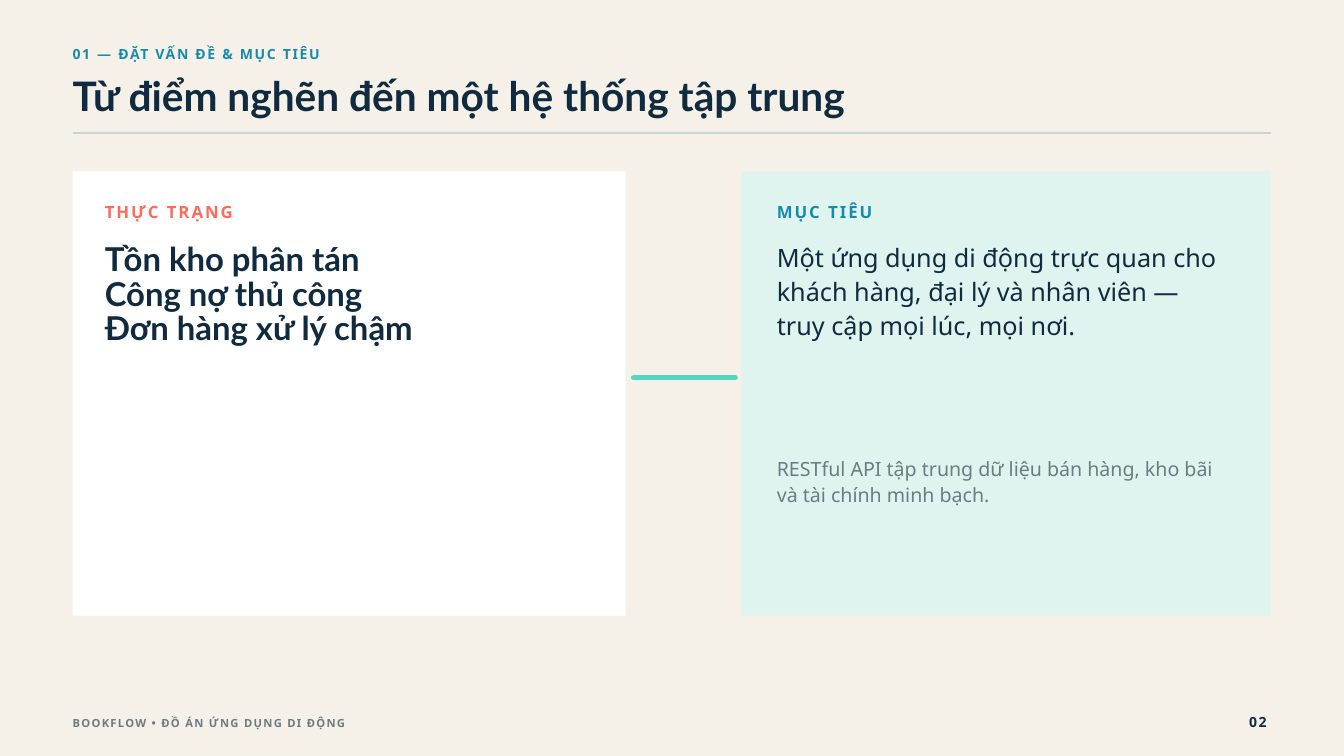
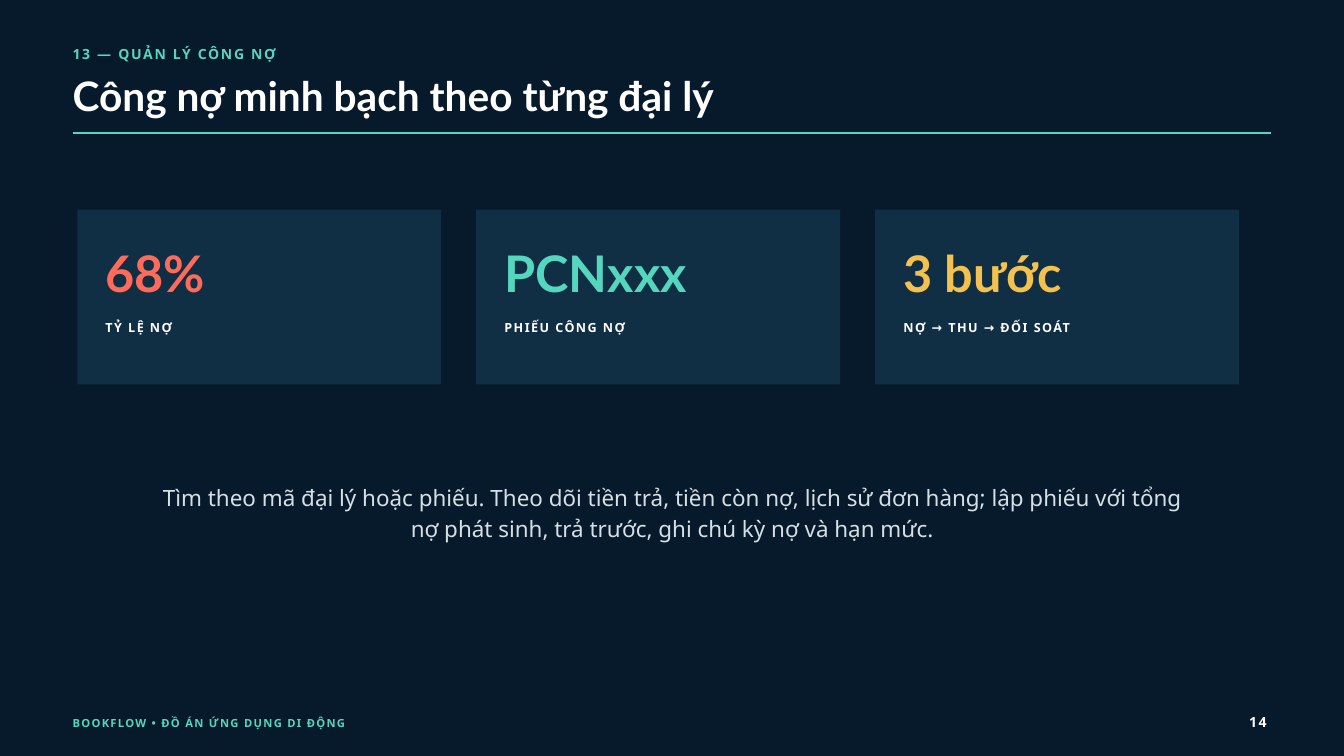
"""Build two slides of a mobile application project talk."""
from dataclasses import dataclass

import lxml.etree
import pptx
import pptx.dml.color
import pptx.enum.shapes
import pptx.enum.text
import pptx.oxml.ns
import pptx.util

Inches = pptx.util.Inches
Align = pptx.enum.text.PP_ALIGN


@dataclass(frozen=True)
class Theme:
    """Colours, fonts and type sizes of the presentation."""
    heading_font: str = "Lato"
    body_font: str = "Noto Sans"
    cream: str = "F5F1E8"
    night: str = "071A2B"
    navy: str = "102B3F"
    card: str = "102F45"
    white: str = "FFFFFF"
    mint: str = "DFF4EE"
    teal: str = "55D6BE"
    blue: str = "168AAD"
    coral: str = "FF6B5B"
    gold: str = "F2C14E"
    grey: str = "6D7B82"
    mist: str = "D4E0E5"
    rule: str = "CBD4D0"
    figure_size: float = 54
    title_size: float = 43.5
    statement_size: float = 35.2
    goal_size: float = 27
    summary_size: float = 24
    note_size: float = 21
    label_size: float = 18
    kicker_size: float = 15
    caption_size: float = 13.5
    footer_size: float = 12


THEME = Theme()


@dataclass(frozen=True)
class Mode:
    """Colours of the frame on a light or dark slide."""
    background: str
    kicker: str
    title: str
    rule: str
    footer: str


LIGHT = Mode(THEME.cream, THEME.blue, THEME.navy, THEME.rule, THEME.grey)
DARK = Mode(THEME.night, THEME.teal, THEME.white, THEME.teal, THEME.teal)


@dataclass(frozen=True)
class Box:
    """A region measured in inches."""
    left: float
    top: float
    width: float
    height: float

    def inside(self, left, top, width, height):
        """Return a box placed from this box's top left corner."""
        return Box(self.left + left, self.top + top, width, height)

    def lengths(self):
        """Return left, top, width and height as lengths."""
        return [Inches(value) for value in (self.left, self.top, self.width, self.height)]


PAGE = Box(0, 0, 20, 11.25)
HEADER = Box(1.08, 0.64, 17.84, 1.34)
FOOTER = Box(1.08, 10.58, 17.84, 0.27)


def color(value):
    """Return an RGB colour."""
    return pptx.dml.color.RGBColor.from_string(value)


def add_text(slide, box, text, *, size, ink, leading, font=THEME.body_font,
             bold=False, tracking=0, align=Align.LEFT):
    """Add a text box with one paragraph for each line of text."""
    shape = slide.shapes.add_textbox(*box.lengths())
    frame = shape.text_frame
    frame.word_wrap = True
    frame.auto_size = pptx.enum.text.MSO_AUTO_SIZE.SHAPE_TO_FIT_TEXT
    frame.margin_left = frame.margin_right = frame.margin_top = frame.margin_bottom = 0
    for index, line in enumerate(text.split("\n")):
        paragraph = frame.add_paragraph() if index else frame.paragraphs[0]
        paragraph.alignment = align
        paragraph.line_spacing = pptx.util.Pt(leading)
        run = paragraph.add_run()
        run.text = line
        run.font.name = font
        run.font.size = pptx.util.Pt(size)
        run.font.bold = bold
        run.font.color.rgb = color(ink)
        if tracking:
            run.font._element.set("spc", str(round(tracking * 100)))


def add_panel(slide, box, fill):
    """Add a plain filled rectangle."""
    shape = slide.shapes.add_shape(pptx.enum.shapes.MSO_SHAPE.RECTANGLE, *box.lengths())
    shape.shadow.inherit = False
    shape.fill.solid()
    shape.fill.fore_color.rgb = color(fill)
    shape.line.fill.background()


def add_rule(slide, left, top, width, *, ink, weight, cap="flat"):
    """Add a horizontal line."""
    connector = slide.shapes.add_connector(
        pptx.enum.shapes.MSO_CONNECTOR.STRAIGHT,
        Inches(left), Inches(top), Inches(left + width), Inches(top))
    connector.line.color.rgb = color(ink)
    connector.line.width = pptx.util.Pt(weight)
    properties = connector._element.spPr
    properties.find(pptx.oxml.ns.qn("a:ln")).set("cap", cap)
    lxml.etree.SubElement(properties, pptx.oxml.ns.qn("a:effectLst"))


def add_header(slide, box, mode, kicker, title):
    """Add the kicker, the title and the rule below them."""
    add_text(slide, box.inside(0, 0, 9.38, 0.27), kicker, size=THEME.kicker_size,
             ink=mode.kicker, leading=21, bold=True, tracking=1.8)
    add_text(slide, box.inside(0, 0.51, 15.62, 0.66), title, size=THEME.title_size,
             ink=mode.title, leading=45.7, font=THEME.heading_font, bold=True)
    add_rule(slide, box.left, box.top + box.height, box.width, ink=mode.rule, weight=2)


def add_footer(slide, box, mode, number):
    """Add the project name and the slide number."""
    add_text(slide, box.inside(0, 0.05, 9.38, 0.21), "BOOKFLOW • ĐỒ ÁN ỨNG DỤNG DI ĐỘNG",
             size=THEME.footer_size, ink=mode.footer, leading=16.8, bold=True, tracking=1.4)
    add_text(slide, box.inside(box.width - 1.11, 0, 1.04, 0.27), f"{number:02}",
             size=THEME.kicker_size, ink=mode.title, leading=21, bold=True,
             tracking=1.8, align=Align.RIGHT)


def add_framed_slide(presentation, mode, kicker, title, number):
    """Add a slide with its background, header and footer."""
    slide = presentation.slides.add_slide(presentation.slide_layouts[6])
    slide.background.fill.solid()
    slide.background.fill.fore_color.rgb = color(mode.background)
    add_header(slide, HEADER, mode, kicker, title)
    add_footer(slide, FOOTER, mode, number)
    return slide


def add_labelled_panel(slide, box, inset, fill, label, ink):
    """Add a panel with a spaced label at its top."""
    add_panel(slide, box, fill)
    add_text(slide, box.inside(inset, 0.4, 6.4, 0.32), label, size=THEME.label_size,
             ink=ink, leading=25.2, bold=True, tracking=2.1)


def add_situation(slide, box):
    """Add the panel on the present situation."""
    add_labelled_panel(slide, box, 0.48, THEME.white, "THỰC TRẠNG", THEME.coral)
    add_text(slide, box.inside(0.48, 1.08, 7.19, 1.57),
             "Tồn kho phân tán\nCông nợ thủ công\nĐơn hàng xử lý chậm",
             size=THEME.statement_size, ink=THEME.navy, leading=37,
             font=THEME.heading_font, bold=True)


def add_goal(slide, box):
    """Add the panel on the goal."""
    add_labelled_panel(slide, box, 0.52, THEME.mint, "MỤC TIÊU", THEME.blue)
    add_text(slide, box.inside(0.52, 1, 6.77, 1.48),
             "Một ứng dụng di động trực quan cho khách hàng, đại lý và nhân viên — "
             "truy cập mọi lúc, mọi nơi.",
             size=THEME.goal_size, ink=THEME.navy, leading=36.5)
    add_text(slide, box.inside(0.52, 4.2, 6.77, 0.75),
             "RESTful API tập trung dữ liệu bán hàng, kho bãi và tài chính minh bạch.",
             size=THEME.note_size, ink=THEME.grey, leading=28.4)


def add_figure_card(slide, box, figure, caption, ink):
    """Add a card with a large figure and its caption."""
    add_panel(slide, box, THEME.card)
    add_text(slide, box.inside(0.42, 0.59, 4.9, 0.83), figure, size=THEME.figure_size,
             ink=ink, leading=56.7, font=THEME.heading_font, bold=True)
    add_text(slide, box.inside(0.42, 1.6, 4.9, 0.25), caption, size=THEME.caption_size,
             ink=THEME.white, leading=18.9, bold=True, tracking=1.6)


def add_card_row(slide, box, cards, gap):
    """Add equal cards side by side."""
    width = (box.width - gap * (len(cards) - 1)) / len(cards)
    for index, card in enumerate(cards):
        add_figure_card(slide, box.inside(index * (width + gap), 0, width, box.height), *card)


def build_goal_slide(presentation):
    """Build the slide that sets the situation against the goal."""
    slide = add_framed_slide(presentation, LIGHT, "01 — ĐẶT VẤN ĐỀ & MỤC TIÊU",
                             "Từ điểm nghẽn đến một hệ thống tập trung", 2)
    add_situation(slide, Box(1.08, 2.55, 8.23, 6.61))
    add_rule(slide, 9.43, 5.62, 1.51, ink=THEME.teal, weight=6, cap="rnd")
    add_goal(slide, Box(11.04, 2.55, 7.88, 6.61))


def build_debt_slide(presentation):
    """Build the slide on debt management."""
    slide = add_framed_slide(presentation, DARK, "13 — QUẢN LÝ CÔNG NỢ",
                             "Công nợ minh bạch theo từng đại lý", 14)
    cards = [("68%", "TỶ LỆ NỢ", THEME.coral),
             ("PCNxxx", "PHIẾU CÔNG NỢ", THEME.teal),
             ("3 bước", "NỢ → THU → ĐỐI SOÁT", THEME.gold)]
    add_card_row(slide, Box(1.15, 3.12, 17.29, 2.6), cards, gap=0.52)
    add_text(slide, Box(2.29, 7.16, 15.42, 0.88),
             "Tìm theo mã đại lý hoặc phiếu. Theo dõi tiền trả, tiền còn nợ, lịch sử đơn hàng; "
             "lập phiếu với tổng nợ phát sinh, trả trước, ghi chú kỳ nợ và hạn mức.",
             size=THEME.summary_size, ink=THEME.mist, leading=32.4, align=Align.CENTER)


def main():
    """Build and save the presentation."""
    presentation = pptx.Presentation()
    presentation.slide_width = Inches(PAGE.width)
    presentation.slide_height = Inches(PAGE.height)
    build_goal_slide(presentation)
    build_debt_slide(presentation)
    presentation.save("out.pptx")


if __name__ == "__main__":
    main()
